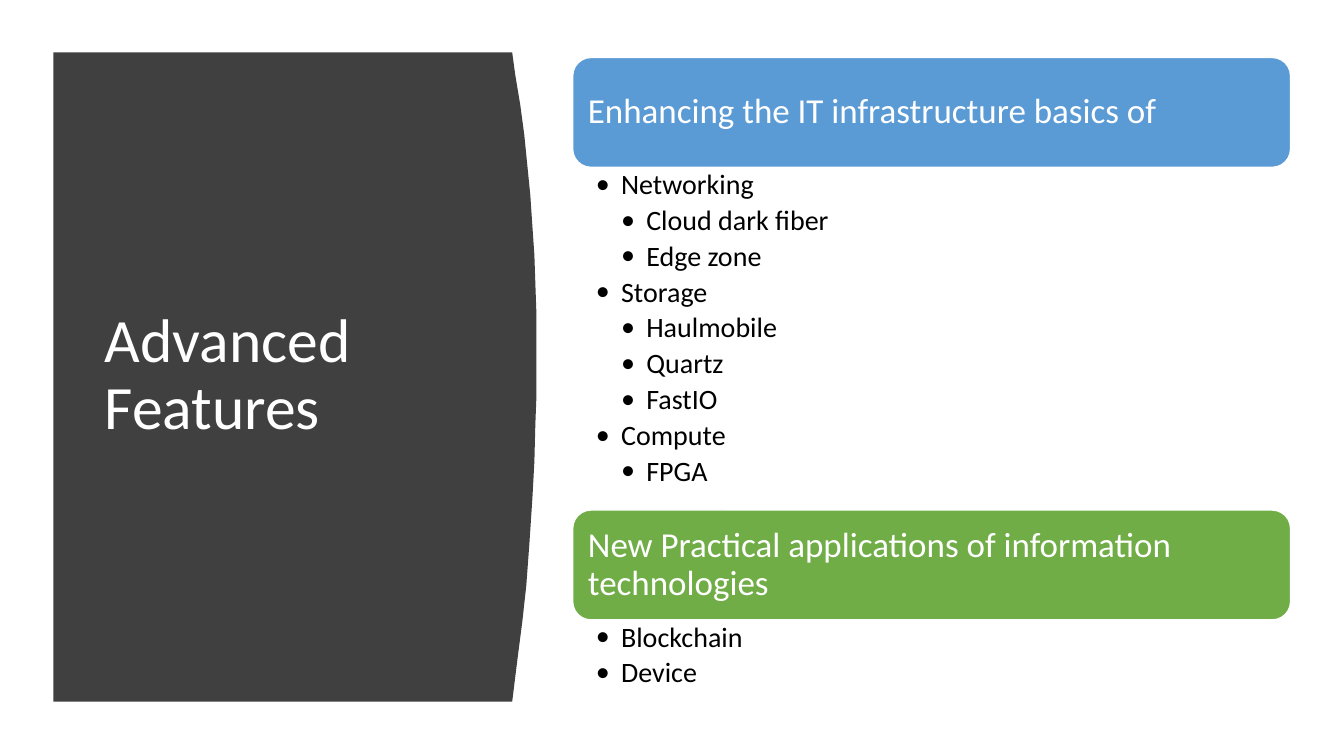
from lxml import etree
from pptx import Presentation
from pptx.dml.color import RGBColor
from pptx.enum.shapes import MSO_SHAPE
from pptx.enum.text import MSO_ANCHOR, PP_ALIGN
from pptx.oxml.ns import qn
from pptx.util import Pt

ROUNDED = MSO_SHAPE.ROUNDED_RECTANGLE
MIDDLE, TOP = MSO_ANCHOR.MIDDLE, MSO_ANCHOR.TOP
LEFT = PP_ALIGN.LEFT

PX = 9144  # 100 px to the inch
FONT = "Calibri"
WHITE = RGBColor(0xFF, 0xFF, 0xFF)
BLACK = RGBColor(0x00, 0x00, 0x00)
CHARCOAL = RGBColor(0x40, 0x40, 0x40)
BLUE = RGBColor(0x5B, 0x9B, 0xD5)
GREEN = RGBColor(0x70, 0xAD, 0x47)


def set_frame(shape, anchor, left, top, right, bottom):
    frame = shape.text_frame
    frame.word_wrap = True
    frame.vertical_anchor = anchor
    frame.margin_left, frame.margin_right = left * PX, right * PX
    frame.margin_top, frame.margin_bottom = top * PX, bottom * PX
    return frame


def style_paragraph(paragraph, size, color):
    paragraph.alignment = LEFT
    paragraph.line_spacing = 0.9
    font = paragraph.runs[0].font
    font.name, font.size = FONT, Pt(size)
    font.color.rgb = color


presentation = Presentation()
presentation.slide_width = 1333 * PX
presentation.slide_height = 750 * PX
slide = presentation.slides.add_slide(presentation.slide_layouts[6])
shapes = slide.shapes

# Dark panel with a bulging right edge
panel_edge = [
    (508, 52), (511, 74), (516, 104), (520, 134), (523, 164), (526, 194),
    (528, 224), (530, 253), (531, 282), (532, 311), (532, 394), (531, 420),
    (530, 458), (528, 495), (525, 540), (522, 581), (518, 617), (514, 648),
    (511, 672), (508, 696),
]
builder = shapes.build_freeform(53, 52, scale=PX)
builder.add_line_segments(panel_edge + [(53, 696)], close=True)
panel = builder.convert_to_shape()
panel.shadow.inherit = False
panel.fill.solid()
panel.fill.fore_color.rgb = CHARCOAL
panel.line.fill.background()

# Title
title = shapes.add_textbox(94 * PX, 111 * PX, 374 * PX, 524 * PX)
title_frame = set_frame(title, MIDDLE, 10, 5, 10, 5)
title_frame.text = "Advanced Features"
style_paragraph(title_frame.paragraphs[0], 44, WHITE)

# Sections: heading, colour, top, list height, (level, item) pairs
SECTION_LEFT, SECTION_WIDTH, HEADING_HEIGHT = 568, 712, 109
sections = [
    ("Enhancing the IT infrastructure basics of", BLUE, 57, 340, [
        (0, "Networking"), (1, "Cloud dark fiber"), (1, "Edge zone"),
        (0, "Storage"), (1, "Haulmobile"), (1, "Quartz"), (1, "FastIO"),
        (0, "Compute"), (1, "FPGA"),
    ]),
    ("New Practical applications of information technologies", GREEN, 506, 75, [
        (0, "Blockchain"), (0, "Device"),
    ]),
]
for heading, color, top, list_height, items in sections:
    bar = shapes.add_shape(ROUNDED, SECTION_LEFT * PX, top * PX,
                           SECTION_WIDTH * PX, HEADING_HEIGHT * PX)
    bar.shadow.inherit = False
    bar.fill.solid()
    bar.fill.fore_color.rgb = color
    bar.line.color.rgb = WHITE
    bar.line.width = Pt(1)
    bar_frame = set_frame(bar, MIDDLE, 10, 10, 10, 10)
    bar_frame.text = heading
    style_paragraph(bar_frame.paragraphs[0], 25, WHITE)

    # Bulleted list under the heading
    box = shapes.add_textbox(SECTION_LEFT * PX, (top + HEADING_HEIGHT) * PX,
                             SECTION_WIDTH * PX, list_height * PX)
    list_frame = set_frame(box, TOP, 23, 3, 19, 3)
    list_frame.text = "\n".join(item for level, item in items)
    for paragraph, (level, item) in zip(list_frame.paragraphs, items):
        paragraph.level = level
        properties = paragraph._p.get_or_add_pPr()
        properties.set("marL", str(25 * (level + 1) * PX))
        properties.set("indent", str(-25 * PX))
        etree.SubElement(properties, qn("a:buFont"), typeface=FONT)
        etree.SubElement(properties, qn("a:buChar"), char="•")
        paragraph.space_after = Pt(4)
        style_paragraph(paragraph, 20, BLACK)

presentation.save("out.pptx")
